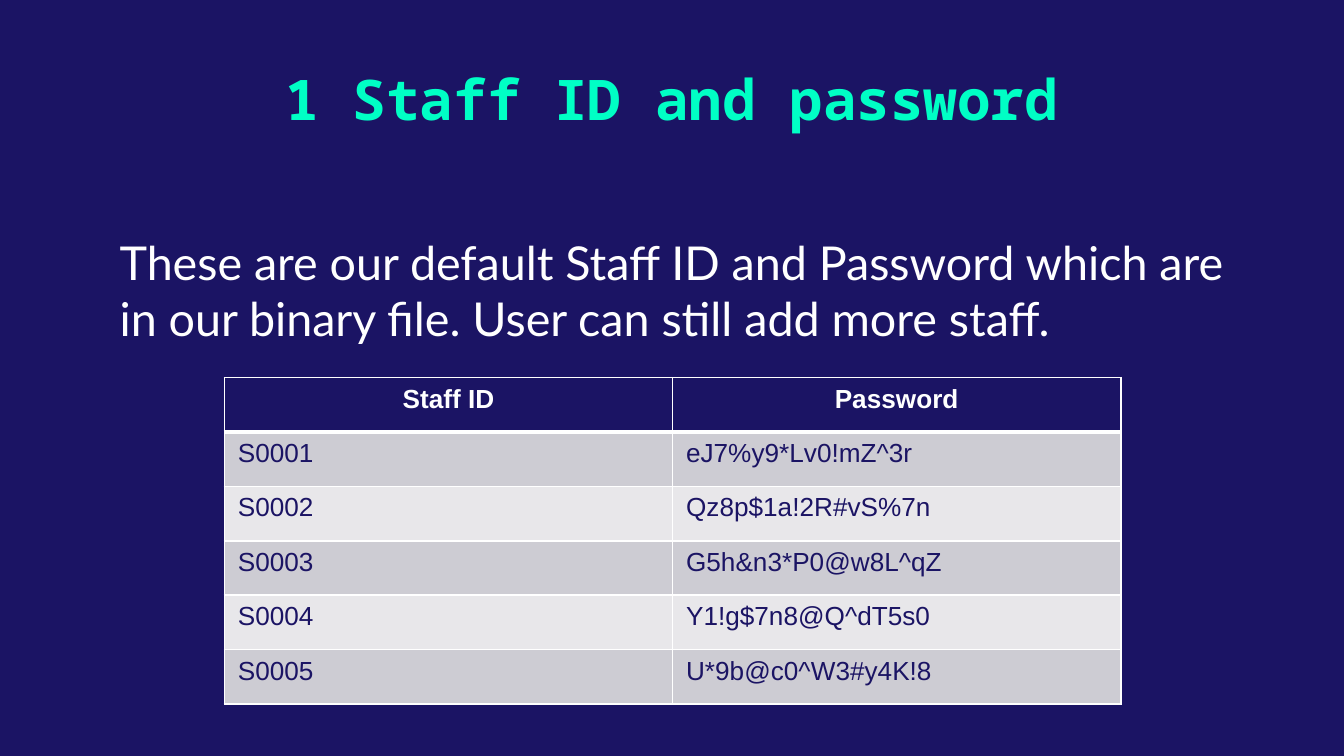
from lxml import etree
from pptx import Presentation
from pptx.dml.color import RGBColor
from pptx.enum import text
from pptx.oxml import ns
from pptx.util import Inches, Pt

NAVY, WHITE, MINT = "1B1464", "FFFFFF", "00FFC5"
DARK_BAND, LIGHT_BAND = "CDCCD3", "E8E7EA"
ALIGN = text.PP_ALIGN


def paint(fill, color):
    fill.solid()
    fill.fore_color.rgb = RGBColor.from_string(color)


def write(frame, words, font="Arial", size=14, color=NAVY, bold=False, align=ALIGN.LEFT):
    paragraph = frame.paragraphs[0]
    paragraph.alignment = align
    paragraph.space_before = Pt(0)
    run = paragraph.add_run()
    run.text = words
    run.font.name = font
    run.font.size = Pt(size)
    run.font.bold = bold
    run.font.color.rgb = RGBColor.from_string(color)


presentation = Presentation()
presentation.slide_width = Inches(10)
presentation.slide_height = Inches(10 * 9 / 16)
slide = presentation.slides.add_slide(presentation.slide_layouts[0])
paint(slide.background.fill, NAVY)

# Title and introduction
title, intro = slide.placeholders
boxes = [
    (title, (1.4, 0.38, 7.2, 0.73), 0.1),
    (intro, (0.79, 1.74, 8.42, 1.07), 0),
]
for shape, place, top_margin in boxes:
    shape.left, shape.top, shape.width, shape.height = map(Inches, place)
    frame = shape.text_frame
    frame.word_wrap = True
    frame.auto_size = text.MSO_AUTO_SIZE.NONE
    frame.vertical_anchor = text.MSO_ANCHOR.TOP
    frame.margin_top = Inches(top_margin)
    frame.margin_left = frame.margin_right = frame.margin_bottom = Inches(0.1)

write(title.text_frame, "1 Staff ID and password", font="Noto Sans Mono",
      size=30, color=MINT, bold=True, align=ALIGN.CENTER)
write(intro.text_frame,
      "These are our default Staff ID and Password which are in our binary file. "
      "User can still add more staff.", font="Lato", size=25, color=WHITE)

# Staff table
staff = [
    ("Staff ID", "Password"),
    ("S0001", "eJ7%y9*Lv0!mZ^3r"),
    ("S0002", "Qz8p$1a!2R#vS%7n"),
    ("S0003", "G5h&n3*P0@w8L^qZ"),
    ("S0004", "Y1!g$7n8@Q^dT5s0"),
    ("S0005", "U*9b@c0^W3#y4K!8"),
]
table = slide.shapes.add_table(len(staff), 2, Inches(1.67), Inches(2.81),
                               Inches(6.67), Inches(2.43)).table
for row, record in enumerate(staff):
    for column, value in enumerate(record):
        cell = table.cell(row, column)

        # Borders come before the fill in the cell properties
        properties = cell._tc.get_or_add_tcPr()
        for side in ("lnL", "lnR", "lnT", "lnB"):
            under_header = (row, side) in ((0, "lnB"), (1, "lnT"))
            line = etree.SubElement(properties, ns.qn(f"a:{side}"),
                                    w=str(Pt(3 if under_header else 1)))
            solid = etree.SubElement(line, ns.qn("a:solidFill"))
            etree.SubElement(solid, ns.qn("a:srgbClr"), val=WHITE)

        if row == 0:
            paint(cell.fill, NAVY)
            write(cell.text_frame, value, color=WHITE, bold=True, align=ALIGN.CENTER)
        else:
            paint(cell.fill, DARK_BAND if row % 2 else LIGHT_BAND)
            write(cell.text_frame, value)

presentation.save("out.pptx")
